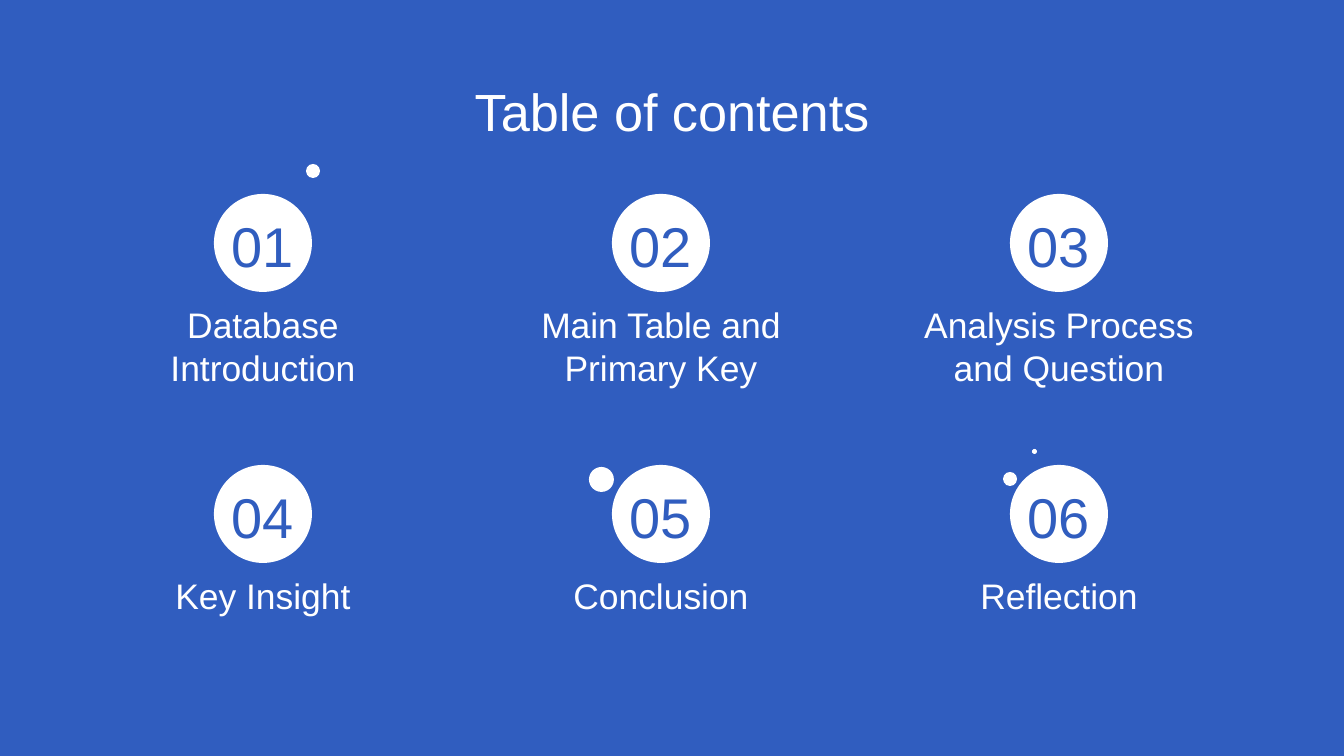
from pptx import Presentation
from pptx.dml.color import RGBColor
from pptx.enum.shapes import MSO_SHAPE
from pptx.enum.text import MSO_ANCHOR, PP_ALIGN
from pptx.util import Emu, Inches, Pt

BLUE, WHITE = "305DBF", "FFFFFF"
FONT = "Arial"
TITLE = "Table of contents"
SECTIONS = [
    "Database Introduction", "Main Table and Primary Key", "Analysis Process and Question",
    "Key Insight", "Conclusion", "Reflection",
]
# left, top, diameter
ACCENT_DOTS = [(306, 164, 14), (1003, 472, 14), (1032, 449, 5), (589, 467, 25)]

COLUMNS = 3
FIRST_CENTER, COLUMN_PITCH = 263, 398
FIRST_TOP, ROW_PITCH = 194, 271
CIRCLE = 98
LABEL_WIDTH, LABEL_HEIGHT, LABEL_OFFSET = 356, 62, 96


def px(length):
    return Emu(round(length * 914400 / 134.4))


def color(value):
    return RGBColor.from_string(value)


def add_circle(slide, left, top, diameter):
    circle = slide.shapes.add_shape(
        MSO_SHAPE.OVAL, px(left), px(top), px(diameter), px(diameter))
    circle.shadow.inherit = False
    circle.fill.solid()
    circle.fill.fore_color.rgb = color(WHITE)
    circle.line.fill.background()


def add_text(slide, text, left, top, width, height, size, fill=WHITE, anchor=MSO_ANCHOR.TOP):
    frame = slide.shapes.add_textbox(px(left), px(top), px(width), px(height)).text_frame
    frame.word_wrap = True
    frame.vertical_anchor = anchor
    frame.margin_left = frame.margin_right = Inches(0.1)
    frame.margin_top = frame.margin_bottom = Inches(0.1)
    paragraph = frame.paragraphs[0]
    paragraph.text = text
    paragraph.alignment = PP_ALIGN.CENTER
    paragraph.font.name = FONT
    paragraph.font.size = Pt(size)
    paragraph.font.color.rgb = color(fill)


def main():
    deck = Presentation()
    deck.slide_width, deck.slide_height = px(1344), px(756)
    slide = deck.slides.add_slide(deck.slide_layouts[6])
    slide.background.fill.solid()
    slide.background.fill.fore_color.rgb = color(BLUE)

    add_text(slide, TITLE, 46, 66, 1252, 85, 28)
    for index, section in enumerate(SECTIONS):
        row, column = divmod(index, COLUMNS)
        center = FIRST_CENTER + column * COLUMN_PITCH
        top = FIRST_TOP + row * ROW_PITCH
        left = center - CIRCLE // 2
        add_circle(slide, left, top, CIRCLE)
        add_text(slide, f"{index + 1:02}", left, top, CIRCLE, CIRCLE, 30,
                 BLUE, MSO_ANCHOR.BOTTOM)
        add_text(slide, section, center - LABEL_WIDTH // 2, top + LABEL_OFFSET,
                 LABEL_WIDTH, LABEL_HEIGHT, 19)
    for dot in ACCENT_DOTS:
        add_circle(slide, *dot)

    deck.save("out.pptx")


if __name__ == "__main__":
    main()
